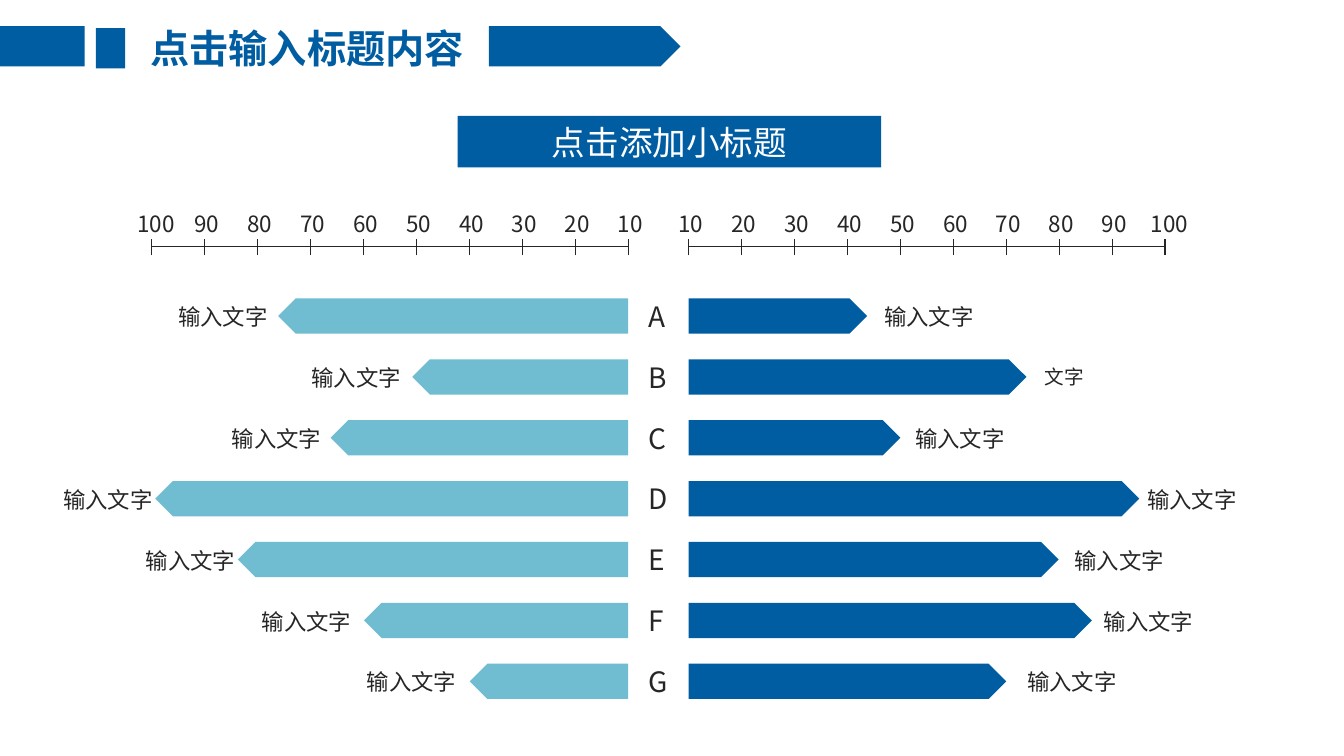
from lxml import etree
from pptx import Presentation
from pptx import util as u
from pptx.dml.color import RGBColor
from pptx.enum import shapes, text
from pptx.oxml.ns import qn

FONT = "Noto Sans CJK SC"
COLORS = {"blue": "005DA2", "teal": "70BDD2", "ink": "262626", "white": "FFFFFF"}
SHAPE = shapes.MSO_SHAPE
CENTER = text.PP_ALIGN.CENTER

LEFT_ZERO, RIGHT_ZERO = 6.23, 6.83
TICK_STEP = 0.525
ROW_TOP, ROW_STEP, BAR_HEIGHT = 2.96, 0.604, 0.35

# letter, letter box width, left bar length, left label x,
# right bar length, right label x, right label
ROWS = [
    ("A", 0.40, 3.47, 1.67, 1.77, 8.67, "输入文字"),
    ("B", 0.38, 2.14, 2.99, 3.35, 10.26, "文字"),
    ("C", 0.39, 2.95, 2.20, 2.10, 8.98, "输入文字"),
    ("D", 0.42, 4.69, 0.53, 4.47, 11.28, "输入文字"),
    ("E", 0.36, 3.87, 1.35, 3.67, 10.56, "输入文字"),
    ("F", 0.35, 2.62, 2.50, 4.00, 10.85, "输入文字"),
    ("G", 0.41, 1.57, 3.54, 3.15, 10.09, "输入文字"),
]


def rgb(name):
    return RGBColor.from_string(COLORS[name])


def write(tf, content, size=16, color="ink", bold=False, align=None):
    """Put one formatted run into a text frame."""
    p = tf.paragraphs[0]
    p.alignment = align
    r = p.add_run()
    r.text = content
    r.font.size = u.Pt(size)
    r.font.bold = bold
    r.font.color.rgb = rgb(color)
    r.font.name = FONT
    latin = r.font._element.find(qn("a:latin"))
    ea = etree.Element(qn("a:ea"), typeface=FONT)
    latin.addnext(ea)


def add_label(s, content, x, y, w, h=0.37, wrap=False, **fmt):
    box = s.shapes.add_textbox(u.Inches(x), u.Inches(y), u.Inches(w), u.Inches(h))
    tf = box.text_frame
    tf.word_wrap = wrap
    tf.auto_size = text.MSO_AUTO_SIZE.SHAPE_TO_FIT_TEXT
    write(tf, content, **fmt)


def add_block(s, kind, x, y, w, h, color="blue", flip=False):
    sp = s.shapes.add_shape(kind, u.Inches(x), u.Inches(y), u.Inches(w), u.Inches(h))
    sp.shadow.inherit = False
    sp.fill.solid()
    sp.fill.fore_color.rgb = rgb(color)
    sp.line.fill.background()
    if flip:
        sp._element.spPr.find(qn("a:xfrm")).set("flipH", "1")
    return sp


def add_line(group, x1, y1, x2, y2):
    line = group.shapes.add_connector(
        shapes.MSO_CONNECTOR.STRAIGHT,
        u.Inches(x1), u.Inches(y1), u.Inches(x2), u.Inches(y2))
    line.line.color.rgb = rgb("ink")
    line.line.width = u.Pt(0.75)
    etree.SubElement(line._element.spPr, qn("a:effectLst"))


def add_axis(s, zero, direction):
    """Draw a scale from 10 to 100, running left (-1) or right (1)."""
    ticks = [zero + direction * TICK_STEP * i for i in range(10)]
    group = s.shapes.add_group_shape()
    add_line(group, min(ticks), 2.45, max(ticks), 2.45)
    for x in ticks:
        add_line(group, x, 2.53, x, 2.37)
    for i, x in enumerate(ticks, 1):
        offset, width = (0.24, 0.6) if i == 10 else (0.2, 0.46)
        add_label(s, str(i * 10), x - offset, 2.04, width)


def add_row(s, y, letter, letter_w, left_w, left_x, right_w, right_x, right_label):
    add_block(s, SHAPE.PENTAGON, LEFT_ZERO - left_w, y, left_w, BAR_HEIGHT,
              color="teal", flip=True)
    add_label(s, "输入文字", left_x, y, 1.1)
    add_block(s, SHAPE.PENTAGON, RIGHT_ZERO, y, right_w, BAR_HEIGHT)
    if len(right_label) == 2:
        add_label(s, right_label, right_x, y + 0.01, 0.59, 0.34, size=14)
    else:
        add_label(s, right_label, right_x, y, 1.1)
    add_label(s, letter, 6.33, y - 0.04, letter_w, 0.44, size=20)


def add_header(s):
    subtitle = add_block(s, SHAPE.RECTANGLE, 4.54, 1.15, 4.2, 0.51)
    subtitle.text_frame.vertical_anchor = text.MSO_ANCHOR.MIDDLE
    write(subtitle.text_frame, "点击添加小标题", size=24, color="white", align=CENTER)
    add_label(s, "点击输入标题内容", 1.25, 0.19, 3.59, 0.57, wrap=True,
              size=28, color="blue", bold=True, align=CENTER)
    add_block(s, SHAPE.PENTAGON, 4.85, 0.26, 1.9, 0.4)
    add_block(s, SHAPE.RECTANGLE, 0, 0.26, 0.84, 0.4)
    add_block(s, SHAPE.RECTANGLE, 0.95, 0.28, 0.29, 0.4)


def main():
    prs = Presentation()
    prs.slide_width, prs.slide_height = u.Inches(13.33), u.Inches(7.5)
    s = prs.slides.add_slide(prs.slide_layouts[6])
    add_axis(s, LEFT_ZERO, -1)
    add_axis(s, RIGHT_ZERO, 1)
    for i, row in enumerate(ROWS):
        add_row(s, ROW_TOP + i * ROW_STEP, *row)
    add_header(s)
    prs.save("out.pptx")


if __name__ == "__main__":
    main()
